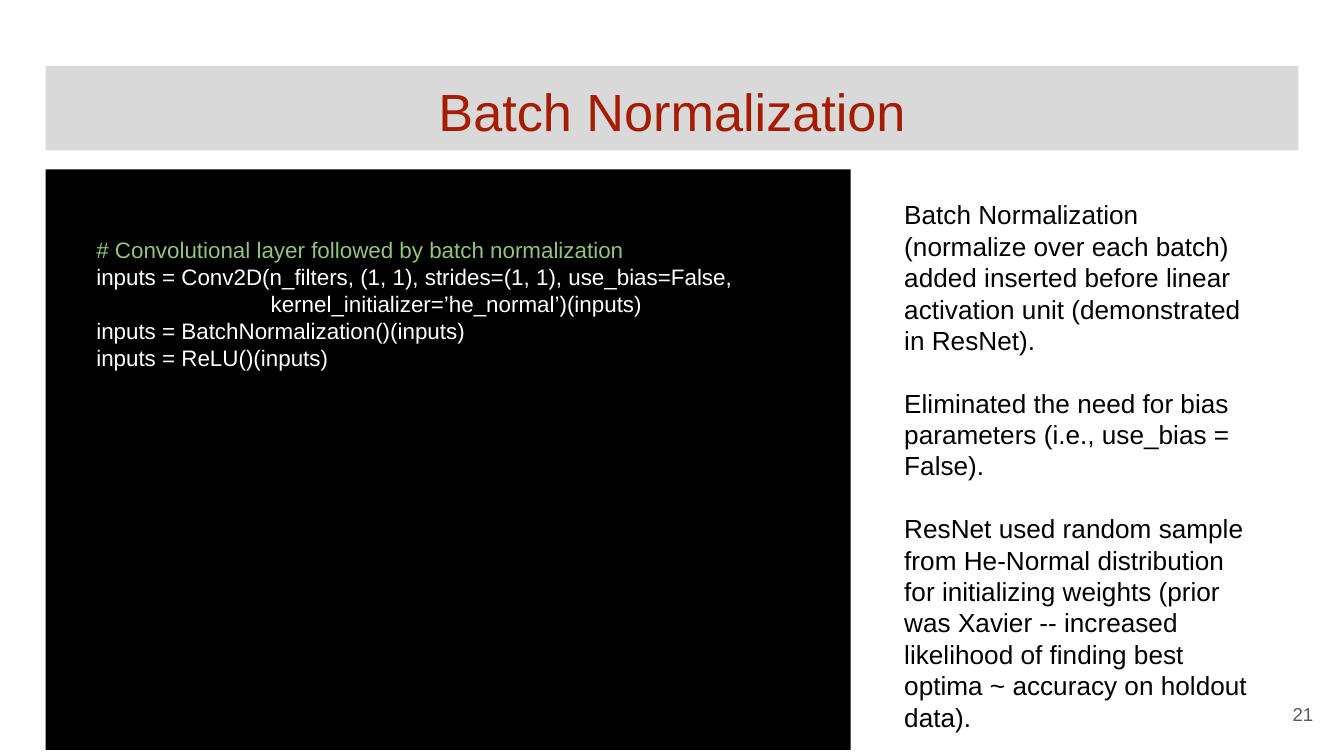
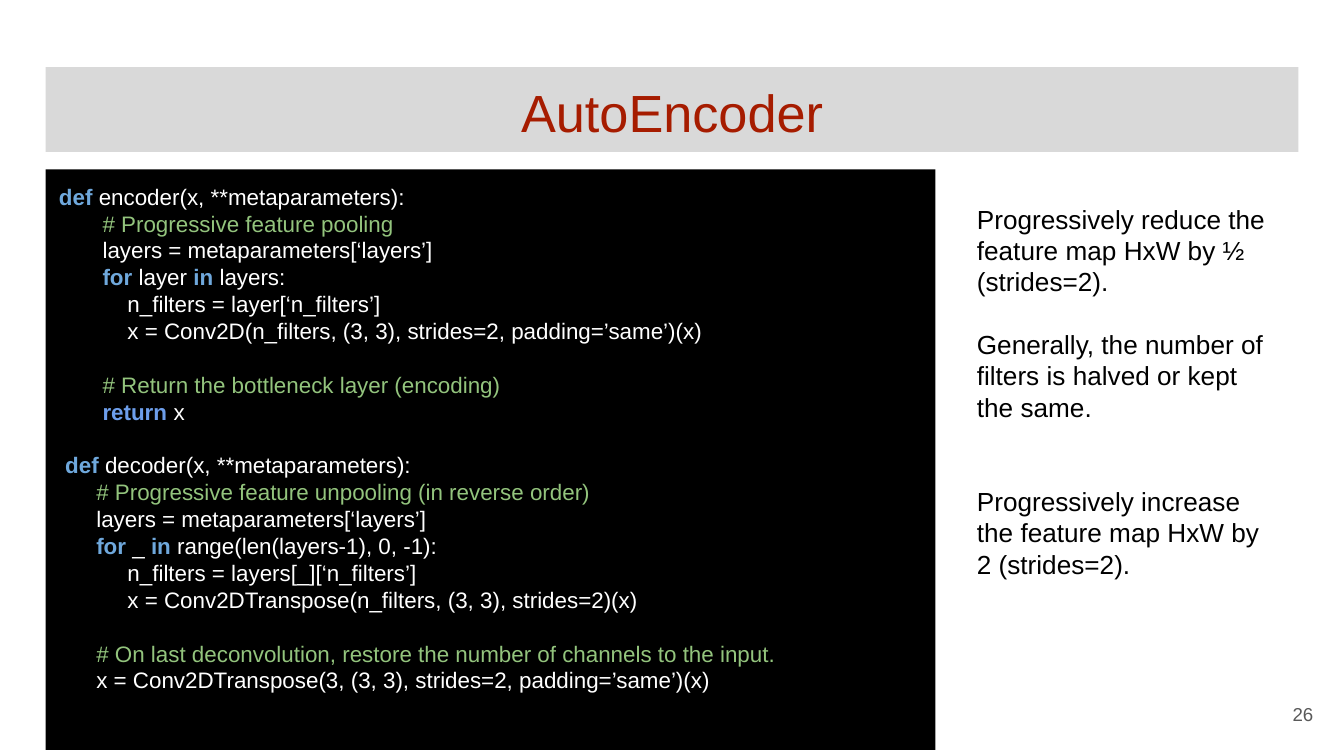
import dataclasses
import itertools

import pptx
import pptx.dml.color
import pptx.enum.shapes
import pptx.enum.text
import pptx.util

Inches = pptx.util.Inches
Pt = pptx.util.Pt
Align = pptx.enum.text.PP_ALIGN
Anchor = pptx.enum.text.MSO_ANCHOR


@dataclasses.dataclass(frozen=True)
class Theme:
    font: str = "Arial"
    title_size: int = 28
    note_size: int = 14
    code_size: int = 12
    number_size: int = 10
    line_height: float = 1.2  # line pitch in em
    space_width: float = 0.278  # width of a blank in em
    inset: float = 0.1
    left: float = 0.34
    band: str = "D9D9D9"
    title: str = "A61C00"
    panel: str = "000000"
    code: str = "FFFFFF"
    comment: str = "93C47D"
    keyword: str = "6FA8DC"
    return_keyword: str = "6D9EEB"
    note: str = "000000"
    number: str = "595959"


class Deck:
    def __init__(self, theme):
        self.theme = theme
        self.presentation = pptx.Presentation()
        # Widescreen, 16:9
        self.presentation.slide_width = Inches(10)
        self.presentation.slide_height = Inches(10) * 9 // 16
        self.slide = None

    # Shared helpers
    def color(self, value):
        return pptx.dml.color.RGBColor.from_string(value)

    def fill(self, shape, value):
        shape.fill.solid()
        shape.fill.fore_color.rgb = self.color(value)

    def frame(self, shape, anchor=Anchor.TOP):
        frame = shape.text_frame
        frame.word_wrap = True
        frame.auto_size = pptx.enum.text.MSO_AUTO_SIZE.NONE
        frame.vertical_anchor = anchor
        inset = Inches(self.theme.inset)
        frame.margin_left = frame.margin_right = inset
        frame.margin_top = frame.margin_bottom = inset
        return frame

    def text_box(self, left, top, width, height, anchor=Anchor.TOP):
        shape = self.slide.shapes.add_textbox(
            Inches(left), Inches(top), Inches(width), Inches(height))
        return self.frame(shape, anchor)

    def style(self, paragraph, size, color, align=Align.LEFT, gap=0):
        """Format a paragraph that follows `gap` empty lines."""
        pitch = size * self.theme.line_height
        paragraph.font.name = self.theme.font
        paragraph.font.size = Pt(size)
        paragraph.font.color.rgb = self.color(color)
        paragraph.alignment = align
        paragraph.line_spacing = Pt(pitch)
        paragraph.space_before = Pt(gap * pitch)

    # Slide elements
    def add_slide(self, title, band_top):
        theme = self.theme
        layout = self.presentation.slide_layouts.get_by_name("Title Only")
        self.slide = self.presentation.slides.add_slide(layout)
        band = self.slide.shapes.title
        band.left, band.top = Inches(theme.left), Inches(band_top)
        band.width, band.height = Inches(9.32), Inches(0.63)
        self.fill(band, theme.band)
        paragraph = self.frame(band).paragraphs[0]
        paragraph.text = title
        self.style(paragraph, theme.title_size, theme.title, Align.CENTER)

    def add_number(self, number):
        frame = self.text_box(9.27, 5.1, 0.6, 0.43, Anchor.MIDDLE)
        paragraph = frame.paragraphs[0]
        paragraph.text = str(number)
        self.style(paragraph, self.theme.number_size, self.theme.number, Align.RIGHT)

    def word_color(self, word):
        keywords = dict.fromkeys(("def", "for", "in"), self.theme.keyword)
        keywords["return"] = self.theme.return_keyword
        return keywords.get(word.strip())

    def add_code(self, width, source):
        """Draw a code panel; leading blanks become indents, empty lines gaps."""
        theme = self.theme
        panel = self.slide.shapes.add_shape(
            pptx.enum.shapes.MSO_SHAPE.RECTANGLE,
            Inches(theme.left), Inches(1.26), Inches(width), Inches(4.32))
        panel.shadow.inherit = False
        panel.line.fill.background()
        self.fill(panel, theme.panel)
        frame = self.frame(panel)
        paragraph, gap = None, 0
        for line in source.splitlines():
            code = line.lstrip()
            if not code:
                gap += 1
                continue
            if paragraph is None:
                paragraph = frame.paragraphs[0]
                frame.margin_top += Pt(gap * theme.code_size * theme.line_height)
                gap = 0
            else:
                paragraph = frame.add_paragraph()
            is_comment = code.startswith("#")
            self.style(paragraph, theme.code_size,
                       theme.comment if is_comment else theme.code, gap=gap)
            indent = (len(line) - len(code)) * theme.space_width * theme.code_size
            properties = paragraph._p.get_or_add_pPr()
            properties.set("marL", str(Pt(indent)))
            properties.set("indent", "0")
            gap = 0
            if is_comment:
                paragraph.text = code
                continue
            words = [word + " " for word in code.split(" ")]
            words[-1] = words[-1].rstrip()
            for color, group in itertools.groupby(words, self.word_color):
                run = paragraph.add_run()
                run.text = "".join(group)
                if color:
                    run.font.bold = True
                    run.font.color.rgb = self.color(color)

    def add_notes(self, left, top, width, height, notes):
        """Write (empty lines before, text) pairs beside the code."""
        frame = self.text_box(left, top, width, height)
        for index, (gap, text) in enumerate(notes):
            paragraph = frame.add_paragraph() if index else frame.paragraphs[0]
            paragraph.text = text
            self.style(paragraph, self.theme.note_size, self.theme.note, gap=gap)


NORMALIZATION_CODE = """

      # Convolutional layer followed by batch normalization
      inputs = Conv2D(n_filters, (1, 1), strides=(1, 1), use_bias=False,
                                  kernel_initializer=’he_normal’)(inputs)
      inputs = BatchNormalization()(inputs)
      inputs = ReLU()(inputs)
"""

AUTOENCODER_CODE = """def encoder(x, **metaparameters):
       # Progressive feature pooling
       layers = metaparameters[‘layers’]
       for layer in layers:
           n_filters = layer[‘n_filters’]
           x = Conv2D(n_filters, (3, 3), strides=2, padding=’same’)(x)

       # Return the bottleneck layer (encoding)
       return x

 def decoder(x, **metaparameters):
      # Progressive feature unpooling (in reverse order)
      layers = metaparameters[‘layers’]
      for _ in range(len(layers-1), 0, -1):
           n_filters = layers[_][‘n_filters’]
           x = Conv2DTranspose(n_filters, (3, 3), strides=2)(x)

      # On last deconvolution, restore the number of channels to the input.
      x = Conv2DTranspose(3, (3, 3), strides=2, padding=’same’)(x)
"""


def main():
    deck = Deck(Theme())

    # Batch normalization
    deck.add_slide("Batch Normalization", band_top=0.49)
    deck.add_code(5.99, NORMALIZATION_CODE)
    deck.add_notes(6.63, 1.38, 2.84, 4.07, [
        (0, "Batch Normalization (normalize over each batch) added inserted "
            "before linear activation unit (demonstrated in ResNet)."),
        (1, "Eliminated the need for bias parameters (i.e., use_bias = False)."),
        (1, "ResNet used random sample from He-Normal distribution for "
            "initializing weights (prior was Xavier -- increased likelihood of "
            "finding best optima ~ accuracy on holdout data)."),
    ])
    deck.add_number(21)

    # Autoencoder
    deck.add_slide("AutoEncoder", band_top=0.5)
    deck.add_code(6.62, AUTOENCODER_CODE)
    deck.add_notes(7.17, 1.41, 2.41, 4.06, [
        (0, "Progressively reduce the feature map HxW by ½ (strides=2)."),
        (1, "Generally, the number of filters is halved or kept the same."),
        (2, "Progressively increase the feature map HxW by 2 (strides=2)."),
    ])
    deck.add_number(26)

    deck.presentation.save("out.pptx")


if __name__ == "__main__":
    main()
